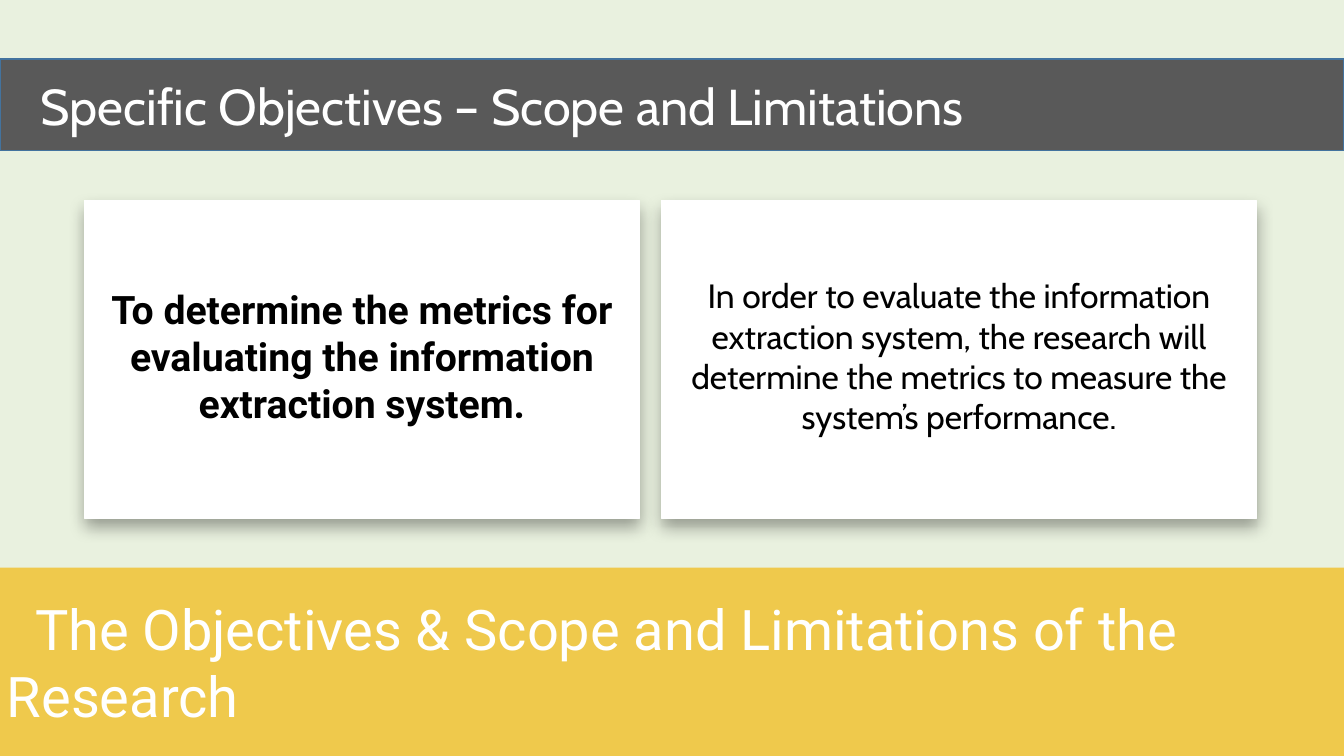
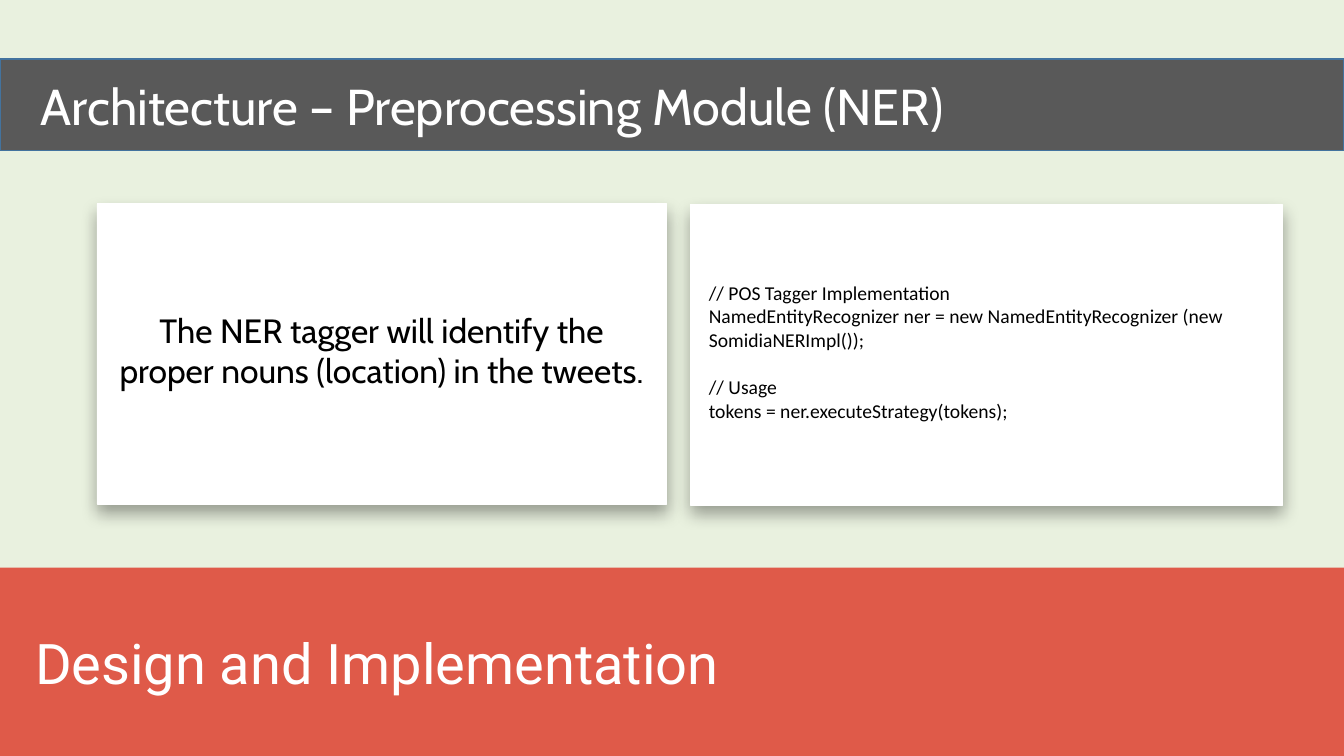
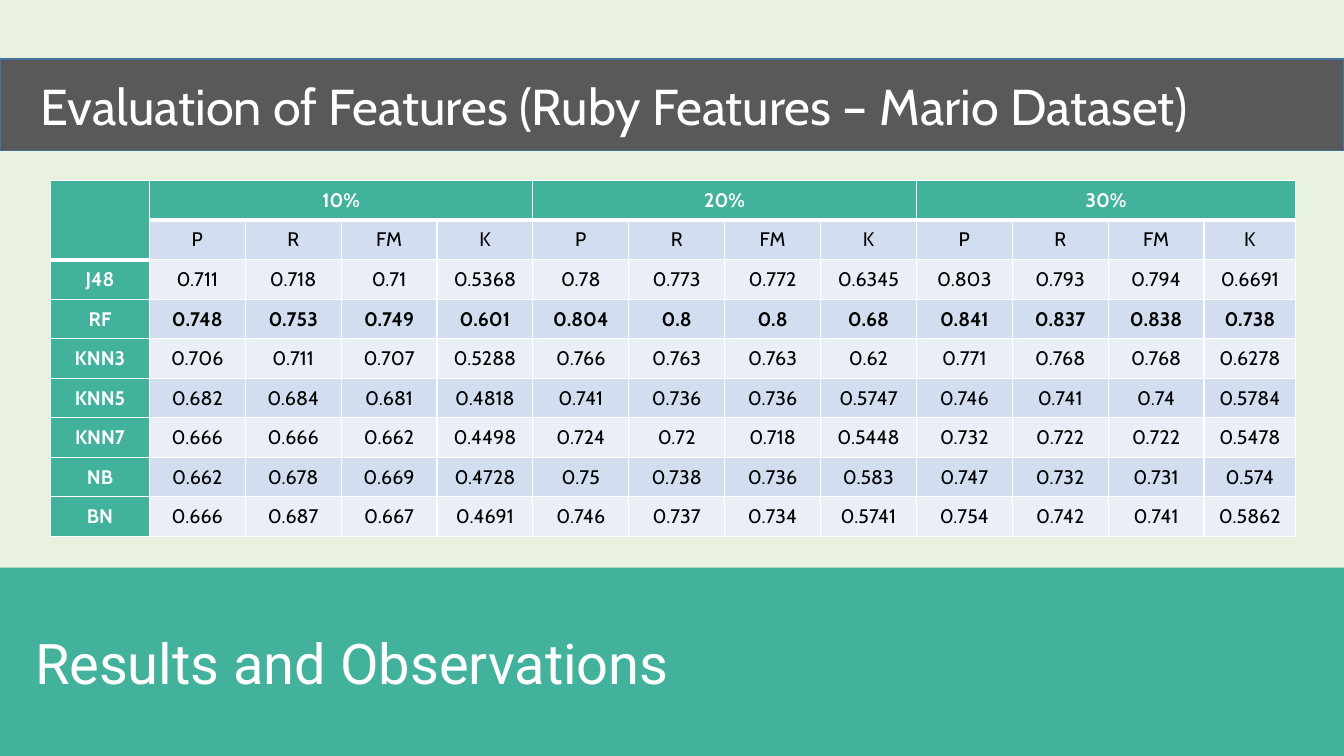
"""Build three thesis slides with a title band, a section band, cards and a results table."""
from lxml import etree
from pptx import Presentation
from pptx.dml.color import RGBColor
from pptx.enum.shapes import MSO_SHAPE
from pptx.enum.text import MSO_ANCHOR, MSO_AUTO_SIZE, PP_ALIGN
from pptx.oxml import parse_xml
from pptx.oxml.ns import nsdecls
from pptx.util import Pt

RECT = MSO_SHAPE.RECTANGLE
MIDDLE = MSO_ANCHOR.MIDDLE
NO_AUTOFIT = MSO_AUTO_SIZE.NONE
LEFT, CENTER = PP_ALIGN.LEFT, PP_ALIGN.CENTER

WHITE = RGBColor(0xFF, 0xFF, 0xFF)
BLACK = RGBColor(0x00, 0x00, 0x00)
PAGE = RGBColor(0xE9, 0xF1, 0xDF)
GREY = RGBColor(0x59, 0x59, 0x59)
BLUE = RGBColor(0x43, 0x73, 0x9E)
YELLOW = RGBColor(0xEF, 0xC9, 0x4C)
RED = RGBColor(0xDF, 0x5A, 0x49)
GREEN = RGBColor(0x42, 0xB2, 0x9D)
BAND_DARK = RGBColor(0xD2, 0xDE, 0xEF)
BAND_LIGHT = RGBColor(0xEA, 0xEF, 0xF7)

SHADOW = (
    f'<a:effectLst {nsdecls("a")}><a:outerShdw blurRad="{Pt(12):d}" dist="{Pt(6):d}" '
    'dir="5400000" algn="t" rotWithShape="0"><a:srgbClr val="000000">'
    '<a:alpha val="35000"/></a:srgbClr></a:outerShdw></a:effectLst>'
)


def write(tf, text, size=14, font="Cabin", color=BLACK, bold=False, align=CENTER):
    """Write each line of text as a paragraph in one format."""
    for i, line in enumerate(text.split("\n")):
        p = tf.paragraphs[0] if i == 0 else tf.add_paragraph()
        p.alignment = align
        r = p.add_run()
        r.text = line
        r.font.size = Pt(size)
        r.font.name = font
        r.font.bold = bold
        r.font.color.rgb = color


CODE = """// POS Tagger Implementation
NamedEntityRecognizer ner = new NamedEntityRecognizer (new SomidiaNERImpl());
// Usage
tokens = ner.executeStrategy(tokens);"""

SLIDES = [
    ("Specific Objectives – Scope and Limitations",
     "The Objectives & Scope and Limitations of the Research", YELLOW, [
         ((60.5, 143.3, 396, 227),
          "To determine the metrics for evaluating the information extraction system.",
          dict(size=28, font="Roboto", bold=True)),
         ((472.5, 143.3, 425, 227),
          "In order to evaluate the information extraction system, the research will "
          "determine the metrics to measure the system’s performance.",
          dict(size=24)),
     ]),
    ("Architecture – Preprocessing Module (NER)", "Design and Implementation", RED, [
        ((69.3, 145.5, 406.5, 214.5),
         "The NER tagger will identify the proper nouns (location) in the tweets.",
         dict(size=24)),
        ((493.3, 146.2, 422.5, 214.5), CODE, dict(font="Calibri", align=LEFT)),
    ]),
    ("Evaluation of Features (Ruby Features – Mario Dataset)",
     "Results and Observations", GREEN, []),
]

GROUPS = ["10%", "20%", "30%"]
MEASURES = ["P", "R", "FM", "K"]
RESULTS = """J48 0.711 0.718 0.71 0.5368 0.78 0.773 0.772 0.6345 0.803 0.793 0.794 0.6691
RF 0.748 0.753 0.749 0.601 0.804 0.8 0.8 0.68 0.841 0.837 0.838 0.738
KNN3 0.706 0.711 0.707 0.5288 0.766 0.763 0.763 0.62 0.771 0.768 0.768 0.6278
KNN5 0.682 0.684 0.681 0.4818 0.741 0.736 0.736 0.5747 0.746 0.741 0.74 0.5784
KNN7 0.666 0.666 0.662 0.4498 0.724 0.72 0.718 0.5448 0.732 0.722 0.722 0.5478
NB 0.662 0.678 0.669 0.4728 0.75 0.738 0.736 0.583 0.747 0.732 0.731 0.574
BN 0.666 0.687 0.667 0.4691 0.746 0.737 0.734 0.5741 0.754 0.742 0.741 0.5862"""

prs = Presentation()
prs.slide_width, prs.slide_height = Pt(960), Pt(540)
fill = prs.slide_master.background.fill
fill.solid()
fill.fore_color.rgb = PAGE

for title, section, color, cards in SLIDES:
    s = prs.slides.add_slide(prs.slide_layouts[5])

    sp = s.shapes.title
    sp.left, sp.top, sp.width, sp.height = Pt(0), Pt(42.2), Pt(960), Pt(65.5)
    sp.fill.solid()
    sp.fill.fore_color.rgb = GREY
    sp.line.color.rgb = BLUE
    sp.line.width = Pt(1)
    tf = sp.text_frame
    tf.auto_size = NO_AUTOFIT
    tf.vertical_anchor = MIDDLE
    tf.margin_left = Pt(29)
    write(tf, title, size=36, color=WHITE, align=LEFT)

    sp = s.shapes.add_shape(RECT, Pt(0), Pt(405.4), Pt(960), Pt(134.6))
    sp.shadow.inherit = False
    sp.fill.solid()
    sp.fill.fore_color.rgb = color
    sp.line.fill.background()
    tf = sp.text_frame
    tf.word_wrap = True
    tf.vertical_anchor = MIDDLE
    tf.margin_left = Pt(5)
    write(tf, section, size=40, font="Roboto", color=WHITE, align=LEFT)
    tf.paragraphs[0]._p.get_or_add_pPr().set("indent", f"{Pt(20):d}")

    for box, text, style in cards:
        sp = s.shapes.add_shape(RECT, *map(Pt, box))
        sp.fill.solid()
        sp.fill.fore_color.rgb = WHITE
        sp.line.color.rgb = WHITE
        sp.line.width = Pt(0.5)
        sp._element.spPr.append(parse_xml(SHADOW))
        tf = sp.text_frame
        tf.word_wrap = True
        tf.vertical_anchor = MIDDLE
        tf.margin_left = tf.margin_right = Pt(13)
        tf.margin_bottom = Pt(8.5)
        write(tf, text, **style)
        if text == CODE:
            tf.paragraphs[2].space_before = Pt(17)

rows = [[""] + [g if m == "P" else "" for g in GROUPS for m in MEASURES],
        [""] + MEASURES * len(GROUPS)]
rows += [line.split() for line in RESULTS.split("\n")]
widths = [70.5] + [68.5] * 11 + [65.5]
table = s.shapes.add_table(len(rows), len(widths), Pt(36.2), Pt(129),
                           Pt(sum(widths)), Pt(28.25 * len(rows))).table
for column, width in zip(table.columns, widths):
    column.width = Pt(width)

for i, row in enumerate(rows):
    table.rows[i].height = Pt(28.25)
    for j, text in enumerate(row):
        cell = table.cell(i, j)
        cell.margin_left = cell.margin_right = Pt(5)
        cell.margin_top = cell.margin_bottom = Pt(0)
        cell.vertical_anchor = MIDDLE
        head_end = 1 if j == 0 else 0
        thick = {"lnB": i <= head_end, "lnT": i == head_end + 1}
        for side in ("lnL", "lnR", "lnT", "lnB"):
            weight = Pt(3 if thick.get(side) else 1)
            ln = parse_xml(f'<a:{side} {nsdecls("a")} w="{weight:d}"/>')
            line_fill = etree.SubElement(ln, ln.tag.replace(side, "solidFill"))
            etree.SubElement(line_fill, ln.tag.replace(side, "srgbClr"), val=str(WHITE))
            cell._tc.get_or_add_tcPr().append(ln)
        header = i == 0 or j == 0
        cell.fill.solid()
        cell.fill.fore_color.rgb = GREEN if header else BAND_DARK if i % 2 else BAND_LIGHT
        if text:
            write(cell.text_frame, text, color=WHITE if header else BLACK,
                  bold=header or row[0] == "RF")

table.cell(0, 0).merge(table.cell(1, 0))
for j in range(1, len(widths), len(MEASURES)):
    table.cell(0, j).merge(table.cell(0, j + len(MEASURES) - 1))

prs.save("out.pptx")
